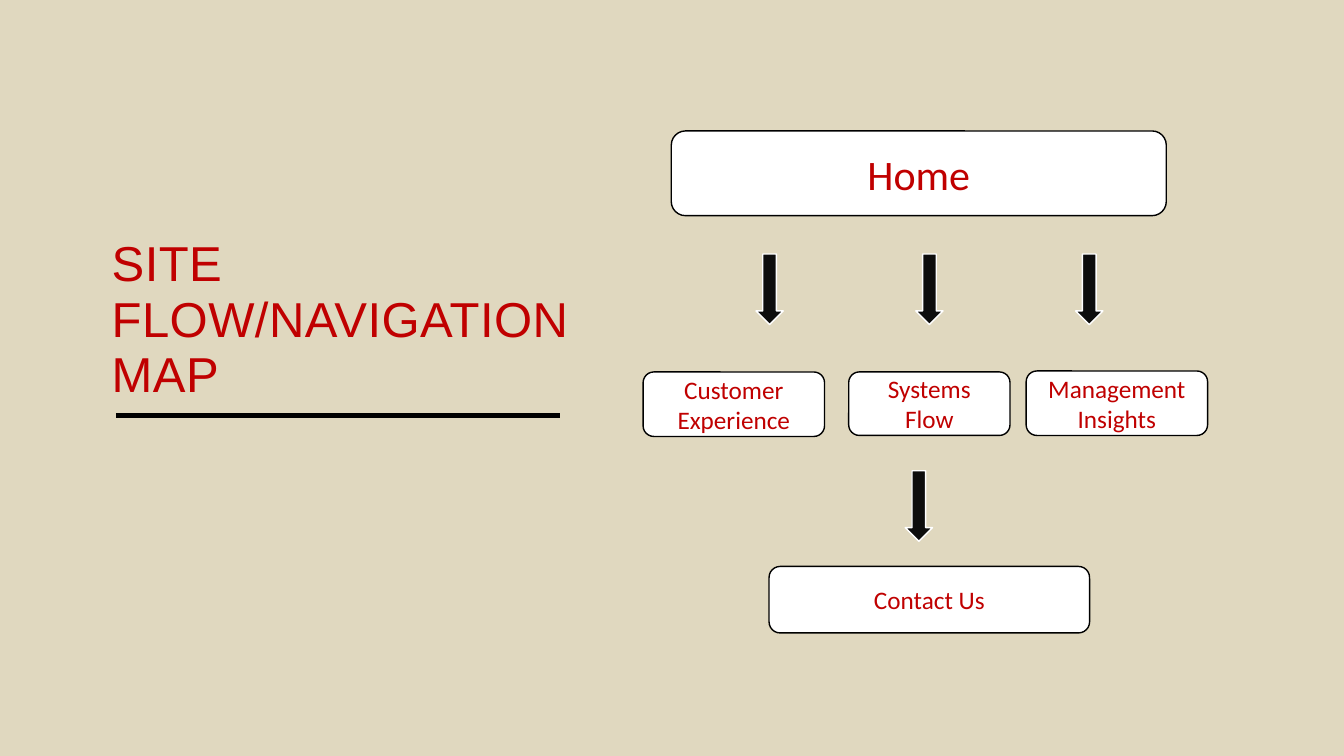
from dataclasses import dataclass

from lxml import etree
from pptx import Presentation
from pptx.dml import color
from pptx.enum import shapes, text
from pptx.oxml import ns
from pptx import util as u


@dataclass(frozen=True)
class Theme:
    """Colours, fonts and type sizes of the slide."""
    backdrop: str = "E0D8BF"
    accent: str = "C00000"
    panel: str = "FFFFFF"
    outline: str = "000000"
    arrow: str = "0D0D0D"
    title_font: str = "Arial"
    label_font: str = "Calibri"
    title_size: float = 35
    home_size: float = 30
    label_size: float = 18


THEME = Theme()
WIDTH, HEIGHT = u.Inches(13.33), u.Inches(7.5)
ARROW_SIZE = (2.03, 9.33)
FIRST_ARROW, ARROW_STEP = 56.25, 11.89
PAGES = [
    ("Home", (49.95, 17.33, 36.83, 11.2), THEME.home_size),
    ("Customer Experience", (47.85, 49.2, 13.5, 8.53), THEME.label_size),
    ("Systems Flow", (63.15, 49.2, 12, 8.4), THEME.label_size),
    ("Management Insights", (76.35, 49.07, 13.5, 8.53), THEME.label_size),
    ("Contact Us", (57.22, 74.93, 23.85, 8.8), THEME.label_size),
]


def rgb(code):
    """Turn a hex code into a colour."""
    return color.RGBColor.from_string(code)


def place(left, top, *more):
    """Convert percentages of the slide into alternating x and y lengths."""
    return [round(share * (HEIGHT if i % 2 else WIDTH) / 100)
            for i, share in enumerate((left, top, *more))]


def apply(target, values):
    """Set every attribute in values on target."""
    for name, value in values.items():
        setattr(target, name, value)


def write(frame, words, face, size, frame_format, paragraph_format):
    """Fill a text frame with one formatted run and return the run."""
    apply(frame, {"word_wrap": True, **frame_format})
    paragraph = frame.paragraphs[0]
    apply(paragraph, paragraph_format)
    run = paragraph.add_run()
    run.text = words
    apply(run.font, {"name": face, "size": u.Pt(size)})
    run.font.color.rgb = rgb(THEME.accent)
    return run


def add_block(slide, kind, box, fill, line):
    """Draw a filled preset shape with a thin outline."""
    block = slide.shapes.add_shape(kind, *place(*box))
    block.shadow.inherit = False
    block.fill.solid()
    block.fill.fore_color.rgb = rgb(fill)
    block.line.color.rgb = rgb(line)
    block.line.width = u.Pt(1)
    return block


def add_page(slide, label, box, size):
    """Draw one page of the site as a labelled rounded box."""
    page = add_block(slide, shapes.MSO_SHAPE.ROUNDED_RECTANGLE, box,
                     THEME.panel, THEME.outline)
    side = u.Inches(0.12)
    write(page.text_frame, label, THEME.label_font, size,
          {"vertical_anchor": text.MSO_ANCHOR.MIDDLE,
           "margin_left": side, "margin_right": side},
          {"alignment": text.PP_ALIGN.CENTER})


def add_arrow(slide, left, top):
    """Draw a downward arrow between two levels of the site."""
    add_block(slide, shapes.MSO_SHAPE.DOWN_ARROW, (left, top, *ARROW_SIZE),
              THEME.arrow, THEME.panel)


def add_title(slide, words, box):
    """Write the slide title."""
    heading = slide.shapes.add_textbox(*place(*box))
    run = write(heading.text_frame, words, THEME.title_font, THEME.title_size,
                {"vertical_anchor": text.MSO_ANCHOR.TOP},
                {"alignment": text.PP_ALIGN.LEFT, "line_spacing": 0.94})
    run._r.get_or_add_rPr().set("spc", "30")


def add_rule(slide, start, end, row):
    """Draw the rule below the title."""
    rule = slide.shapes.add_connector(shapes.MSO_CONNECTOR.STRAIGHT,
                                      *place(start, row, end, row))
    rule.line.color.rgb = rgb(THEME.outline)
    rule.line.width = u.Pt(3.5)
    etree.SubElement(rule._element.spPr, ns.qn("a:effectLst"))


def main():
    """Build the site map slide and save it."""
    deck = Presentation()
    apply(deck, {"slide_width": WIDTH, "slide_height": HEIGHT})
    slide = deck.slides.add_slide(deck.slide_layouts[6])
    slide.background.fill.solid()
    slide.background.fill.fore_color.rgb = rgb(THEME.backdrop)

    add_title(slide, "SITE FLOW/NAVIGATION MAP", (7.58, 30.8, 37.35, 21.07))
    add_rule(slide, 8.63, 41.63, 54.93)
    for label, box, size in PAGES:
        add_page(slide, label, box, size)
    for column in range(3):
        add_arrow(slide, FIRST_ARROW + column * ARROW_STEP, 33.6)
    add_arrow(slide, 67.35, 62.27)
    deck.save("out.pptx")


if __name__ == "__main__":
    main()
